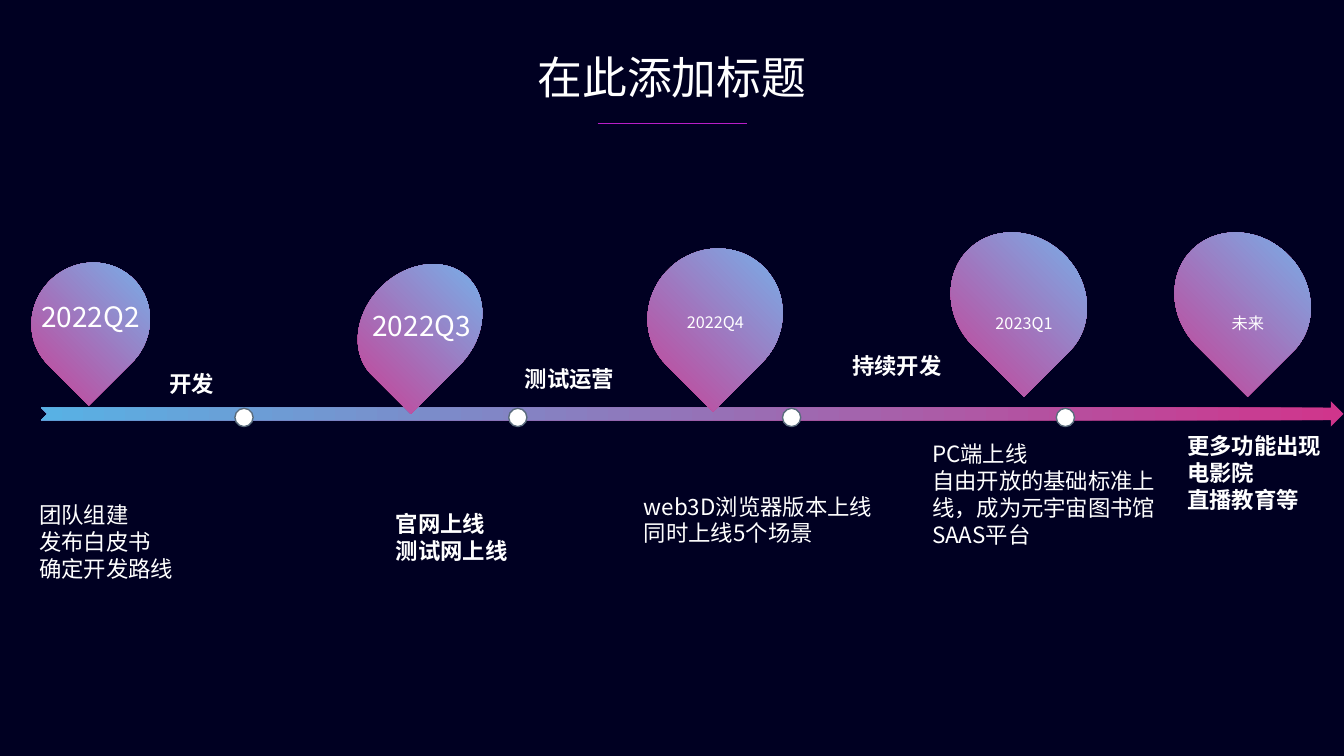
"""Build a roadmap slide with a timeline arrow, dated pins and notes."""
from lxml.etree import SubElement
from pptx import Presentation
from pptx.dml.color import RGBColor
from pptx.enum.shapes import MSO_CONNECTOR, MSO_SHAPE
from pptx.enum.text import MSO_ANCHOR, PP_ALIGN
from pptx.oxml.ns import qn
from pptx.util import Cm, Pt

COLOURS = {
    "night": "000022",
    "white": "FFFFFF",
    "slate": "5A6C7D",
    "magenta": "B81EC8",
    "pink": "D0358C",
    "blue": "58B1E4",
    "sky": "68C4F9",
}
FONT = "Noto Sans CJK SC"

TITLE_FONT = {"size": Pt(32), "bold": False}
LABEL_FONT = {"size": Pt(20), "bold": False}
NOTE_FONT = {"size": Pt(16), "bold": False}
STRONG_FONT = {"size": Pt(16), "bold": True}
TITLE_PARA = {"alignment": PP_ALIGN.CENTER}
LABEL_PARA = {"alignment": PP_ALIGN.CENTER, "line_spacing": 1.2}
NOTE_PARA = {"alignment": PP_ALIGN.LEFT}

PINS = [
    ("2022Q2", (0.76, 6.65, 3.05, 2.92), (0.43, 7.26, 3.71, 1.27), False),
    ("2022Q3", (8.86, 6.83, 3.45, 2.79), (8.61, 7.47, 4.04, 1.27), False),
    ("2022Q4", (16.28, 6.3, 3.48, 3.33), (16.48, 7.26, 3.1, 0.91), True),
    ("2023Q1", (24.05, 5.77, 3.25, 3.61), (24.26, 7.29, 3.1, 0.91), True),
    ("未来", (29.69, 5.77, 3.25, 3.61), (29.9, 7.29, 3.1, 0.91), True),
]
NOTES = [
    (["团队组建", "发布白皮书", "确定开发路线"], (0.74, 12.5, 6.43, 3), NOTE_FONT),
    (["官网上线", "测试网上线"], (9.73, 12.73, 3.35, 1.63), STRONG_FONT),
    (["web3D浏览器版本上线", "同时上线5个场景"], (15.98, 12.29, 6.43, 1.63), NOTE_FONT),
    (["PC端上线", "自由开放的基础标准上线，成为元宇宙图书馆SAAS平台"],
     (23.24, 10.97, 6.43, 3), NOTE_FONT),
    (["更多功能出现", "电影院", "直播教育等"], (29.67, 10.77, 4.09, 2.31), STRONG_FONT),
    (["开发"], (4.01, 9.19, 3.15, 0.94), STRONG_FONT),
    (["测试运营"], (12.98, 9.07, 3.15, 0.94), STRONG_FONT),
    (["持续开发"], (21.23, 8.74, 3.15, 0.94), STRONG_FONT),
]
DOT_LEFT, DOT_STEP, DOT_COUNT = 5.92, 6.9, 4


def colour(name):
    """Return a named colour."""
    return RGBColor.from_string(COLOURS[name])


def apply(target, values):
    """Set each attribute in values on target."""
    for name, value in values.items():
        setattr(target, name, value)


def lengths(numbers):
    """Turn centimetre numbers into lengths."""
    return [Cm(number) for number in numbers]


def write(box, lines, font_values, para_values, lowered=False):
    """Fill a box with one formatted paragraph per line."""
    frame = box.text_frame
    apply(frame, {"word_wrap": True, "vertical_anchor": MSO_ANCHOR.TOP})
    for index, line in enumerate(lines):
        para = frame.add_paragraph() if index else frame.paragraphs[0]
        apply(para, para_values)
        span = para.add_run()
        span.text = line
        apply(span.font, {"name": FONT, **font_values})
        span.font.color.rgb = colour("white")
        properties = span.font._element
        SubElement(properties, qn("a:ea")).set("typeface", FONT)
        if lowered:
            properties.set("baseline", "-3000")


def add_text(page, lines, place, font_values, para_values, lowered=False):
    """Add a text box."""
    box = page.shapes.add_textbox(*lengths(place))
    write(box, lines, font_values, para_values, lowered)


def add_gradient_shape(page, kind, place, end_colour):
    """Add a borderless shape that fades from pink to the end colour."""
    shape = page.shapes.add_shape(kind, *lengths(place))
    shape.shadow.inherit = False
    shape.line.fill.background()
    shape.fill.gradient()
    shape.fill.gradient_angle = 180
    for stop, name in zip(shape.fill.gradient_stops, ("pink", end_colour)):
        stop.color.rgb = colour(name)
    return shape


def add_dot(page, left):
    """Add a white milestone dot on the timeline."""
    dot = page.shapes.add_shape(MSO_SHAPE.OVAL, *lengths((left, 10.29, 0.46, 0.46)))
    dot.shadow.inherit = False
    dot.fill.solid()
    dot.fill.fore_color.rgb = colour("white")
    dot.line.color.rgb = colour("slate")
    dot.line.width = Pt(1)


def add_pin(page, label, drop_place, label_place, lowered):
    """Add a drop-shaped pin with its date."""
    drop = add_gradient_shape(page, MSO_SHAPE.TEAR, drop_place, "sky")
    drop.rotation = 135
    add_text(page, [label], label_place, LABEL_FONT, LABEL_PARA, lowered)


def add_title(page):
    """Place the title and the rule under it."""
    title = page.shapes.title
    places = lengths((11.46, 1.12, 10.95, 1.63))
    apply(title, dict(zip(("left", "top", "width", "height"), places)))
    write(title, ["在此添加标题"], TITLE_FONT, TITLE_PARA)
    rule = page.shapes.add_connector(
        MSO_CONNECTOR.STRAIGHT, *lengths((15.06, 3.12, 18.82, 3.12)))
    rule.line.color.rgb = colour("magenta")
    rule.line.width = Pt(0.5)
    SubElement(rule._element.spPr, qn("a:effectLst"))


def main():
    """Build and save the deck."""
    deck = Presentation()
    apply(deck, {"slide_width": Cm(33.87), "slide_height": Cm(19.05)})
    page = deck.slides.add_slide(deck.slide_layouts[5])
    page.background.fill.solid()
    page.background.fill.fore_color.rgb = colour("night")

    add_title(page)
    add_gradient_shape(
        page, MSO_SHAPE.NOTCHED_RIGHT_ARROW, (1.04, 10.11, 32.82, 0.64), "blue")
    for index in range(DOT_COUNT):
        add_dot(page, DOT_LEFT + index * DOT_STEP)
    for pin in PINS:
        add_pin(page, *pin)
    for lines, place, font_values in NOTES:
        add_text(page, lines, place, font_values, NOTE_PARA)
    deck.save("out.pptx")


if __name__ == "__main__":
    main()
